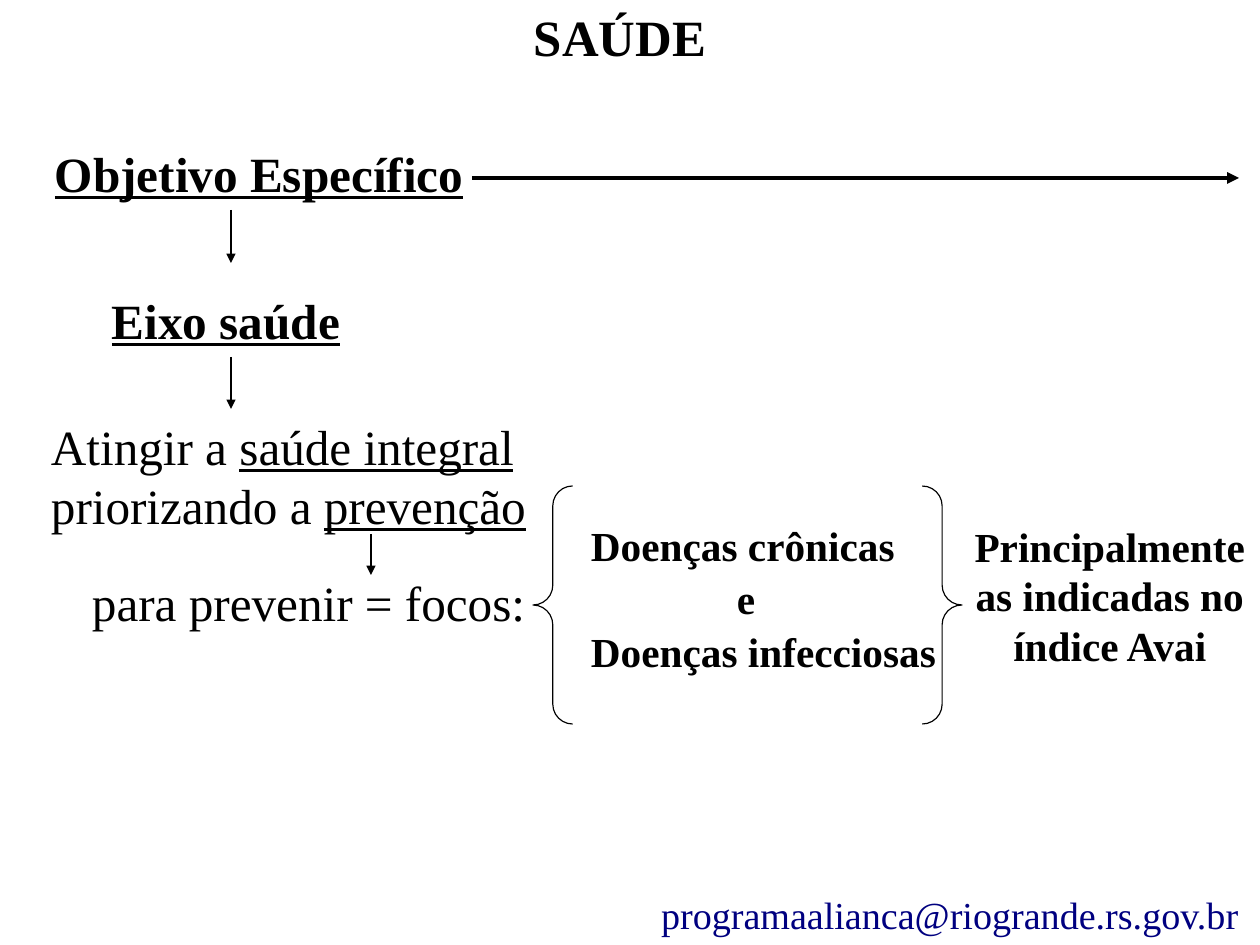
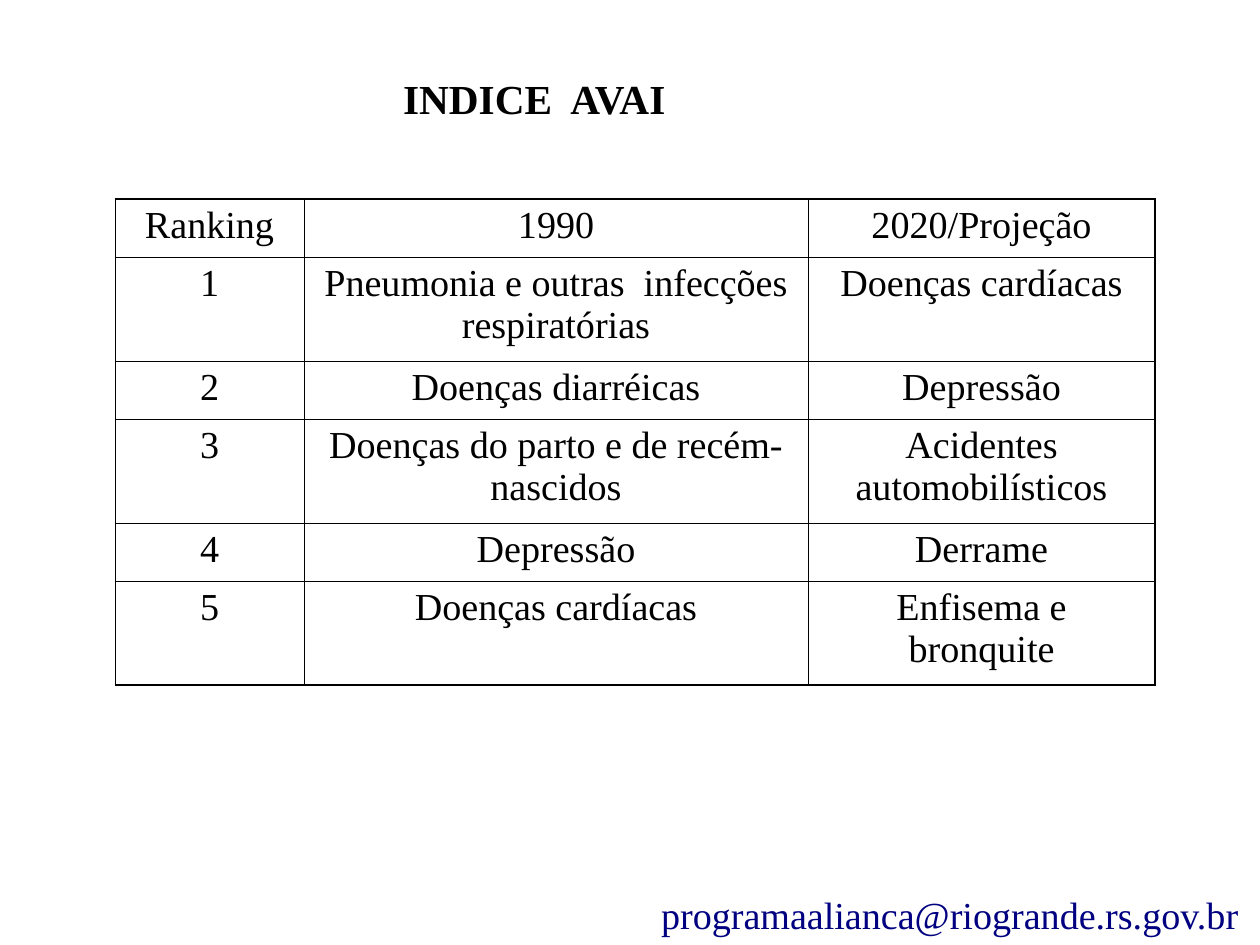
import dataclasses
import typing

import lxml.etree
import pptx
import pptx.dml.color
import pptx.enum.shapes
import pptx.enum.text
import pptx.oxml
import pptx.oxml.ns
import pptx.presentation
import pptx.shapes.base
import pptx.slide
import pptx.table
import pptx.text.text
import pptx.util

PX = 8000  # EMU in one px
SLIDE_WIDTH, SLIDE_HEIGHT = 1260, 945
LEFT = pptx.enum.text.PP_ALIGN.LEFT
CENTER = pptx.enum.text.PP_ALIGN.CENTER
qn = pptx.oxml.ns.qn


@dataclasses.dataclass(frozen=True)
class Theme:
    font: str = "Times New Roman"
    ink: str = "000000"
    contact_ink: str = "000080"
    title_size: int = 32
    body_size: int = 31
    detail_size: int = 26
    table_size: int = 24
    thin: float = 0.75
    thick: float = 2.5
    grid: float = 0.45
    frame: float = 1.08


THEME = Theme()


class Box(typing.NamedTuple):
    left: int
    top: int
    width: int
    height: int


class Inset(typing.NamedTuple):
    x: int = 13
    y: int = 7


class Run(typing.NamedTuple):
    text: str
    underline: bool = False


@dataclasses.dataclass(frozen=True)
class Para:
    runs: tuple[Run, ...]
    size: int = THEME.body_size
    bold: bool = False
    color: str = THEME.ink
    align: pptx.enum.text.PP_ALIGN = LEFT
    line_spacing: float = 1.0
    space_before: float = 0
    indent: int = 0


class Block(typing.NamedTuple):
    box: Box
    paras: tuple[Para, ...]


class Arrow(typing.NamedTuple):
    x1: int
    y1: int
    x2: int
    y2: int
    weight: float = THEME.thin


def px(length: int) -> pptx.util.Emu:
    return pptx.util.Emu(length * PX)


def rgb(color: str) -> pptx.dml.color.RGBColor:
    return pptx.dml.color.RGBColor.from_string(color)


def disease(text: str, indent: int = 0) -> Para:
    """One tightly set bold line between the braces."""
    return Para((Run(text),), THEME.detail_size, bold=True, line_spacing=0.55,
                space_before=16.2, indent=indent)


CONTACT = Block(Box(661, 895, 599, 42), (
    Para((Run("programaalianca@riogrande.rs.gov.br"),), THEME.table_size,
         color=THEME.contact_ink, line_spacing=0.93),))

HEALTH_TITLE = Block(Box(523, 0, 609, 73), (
    Para((Run("SAÚDE"),), THEME.title_size, bold=True),))
HEALTH_BLOCKS = (
    Block(Box(42, 136, 725, 72), (
        Para((Run("Objetivo Específico", True),), bold=True),)),
    Block(Box(74, 283, 304, 72), (
        Para((Run("Eixo saúde", True),), bold=True, align=CENTER),)),
    Block(Box(38, 409, 573, 130), (
        Para((Run("Atingir a "), Run("saúde integral", True),
              Run(" priorizando a "), Run("prevenção", True))),)),
    Block(Box(79, 581, 502, 54), (
        Para((Run("para prevenir = focos:"),), line_spacing=0.7),)),
    Block(Box(578, 533, 389, 146), (
        disease("Doenças crônicas"),
        disease("e", indent=146),
        disease("Doenças infecciosas"))),
    Block(Box(961, 514, 298, 161), (
        Para((Run("Principalmente as indicadas no índice Avai"),),
             THEME.detail_size, bold=True, align=CENTER),)),
)
HEALTH_ARROWS = (
    Arrow(231, 210, 231, 263),
    Arrow(231, 357, 231, 409),
    Arrow(371, 534, 371, 575),
    Arrow(472, 178, 1239, 178, THEME.thick),
)
DISEASE_BRACES = Box(533, 486, 429, 238)

RANKING_TITLE = Block(Box(390, 66, 424, 62), (
    Para((Run("INDICE  AVAI"),), THEME.detail_size, bold=True),))
RANKING_LEFT, RANKING_TOP = 115, 199
RANKING_COLUMNS = (189, 504, 347)
RANKING_ROW_HEIGHTS = (58, 104) * 3
RANKING = (
    ("Ranking", "1990", "2020/Projeção"),
    ("1", "Pneumonia e outras  infecções respiratórias", "Doenças cardíacas"),
    ("2", "Doenças diarréicas", "Depressão"),
    ("3", "Doenças do parto e de recém-nascidos", "Acidentes automobilísticos"),
    ("4", "Depressão", "Derrame"),
    ("5", "Doenças cardíacas", "Enfisema e bronquite"),
)


def write(frame: pptx.text.text.TextFrame, paras: tuple[Para, ...]) -> None:
    for number, para in enumerate(paras):
        paragraph = frame.add_paragraph() if number else frame.paragraphs[0]
        paragraph.alignment = para.align
        paragraph.line_spacing = para.line_spacing
        paragraph.space_before = pptx.util.Pt(para.space_before)
        if para.indent:
            paragraph._p.get_or_add_pPr().set("marL", str(px(para.indent)))
        font = paragraph.font
        font.name = THEME.font
        font.size = pptx.util.Pt(para.size)
        font.bold = para.bold
        font.color.rgb = rgb(para.color)
        for part in para.runs:
            run = paragraph.add_run()
            run.text = part.text
            if part.underline:
                run.font.underline = True


def fill_frame(shape: pptx.shapes.base.BaseShape, paras: tuple[Para, ...],
               inset: Inset) -> None:
    frame = shape.text_frame
    frame.word_wrap = True
    frame.auto_size = pptx.enum.text.MSO_AUTO_SIZE.NONE
    frame.vertical_anchor = pptx.enum.text.MSO_ANCHOR.TOP
    frame.margin_left = frame.margin_right = px(inset.x)
    frame.margin_top = frame.margin_bottom = px(inset.y)
    write(frame, paras)


def add_block(slide: pptx.slide.Slide, block: Block, inset: Inset = Inset()) -> None:
    fill_frame(slide.shapes.add_textbox(*map(px, block.box)), block.paras, inset)


def add_titled_slide(deck: pptx.presentation.Presentation, title: Block,
                     inset: Inset = Inset()) -> pptx.slide.Slide:
    """Add a slide with its title and the shared contact line."""
    slide = deck.slides.add_slide(deck.slide_layouts.get_by_name("Title Only"))
    heading = slide.shapes.title
    heading.left, heading.top, heading.width, heading.height = map(px, title.box)
    fill_frame(heading, title.paras, inset)
    add_block(slide, CONTACT, Inset(0, 0))
    return slide


def add_arrow(slide: pptx.slide.Slide, arrow: Arrow) -> None:
    connector = slide.shapes.add_connector(
        pptx.enum.shapes.MSO_CONNECTOR.STRAIGHT,
        px(arrow.x1), px(arrow.y1), px(arrow.x2), px(arrow.y2))
    connector.line.color.rgb = rgb(THEME.ink)
    connector.line.width = pptx.util.Pt(arrow.weight)
    properties = connector._element.spPr
    lxml.etree.SubElement(properties.find(qn("a:ln")), qn("a:tailEnd"), type="triangle")
    lxml.etree.SubElement(properties, qn("a:effectLst"))


def add_braces(slide: pptx.slide.Slide, box: Box) -> None:
    braces = slide.shapes.add_shape(
        pptx.enum.shapes.MSO_SHAPE.DOUBLE_BRACE, *map(px, box))
    braces.adjustments[0] = 1 / 12
    braces.shadow.inherit = False
    braces.fill.background()
    braces.line.color.rgb = rgb(THEME.ink)
    braces.line.width = pptx.util.Pt(THEME.thin)


def set_borders(cell: pptx.table._Cell, weights: dict[str, float]) -> None:
    """Put borders, keyed L, R, T, B in that order, ahead of the cell fill."""
    properties = cell._tc.get_or_add_tcPr()
    for position, (side, weight) in enumerate(weights.items()):
        border = lxml.etree.Element(qn(f"a:ln{side}"), w=str(pptx.util.Pt(weight)))
        solid = lxml.etree.SubElement(border, qn("a:solidFill"))
        lxml.etree.SubElement(solid, qn("a:srgbClr"), val=THEME.ink)
        properties.insert(position, border)


def add_ranking(slide: pptx.slide.Slide) -> None:
    last_row, last_column = len(RANKING) - 1, len(RANKING_COLUMNS) - 1
    box = Box(RANKING_LEFT, RANKING_TOP, sum(RANKING_COLUMNS), sum(RANKING_ROW_HEIGHTS))
    table = slide.shapes.add_table(
        len(RANKING), len(RANKING_COLUMNS), *map(px, box)).table
    table.first_row = table.horz_banding = False
    for column, width in zip(table.columns, RANKING_COLUMNS):
        column.width = px(width)
    for row, height in zip(table.rows, RANKING_ROW_HEIGHTS):
        row.height = px(height)
    for r, entries in enumerate(RANKING):
        for c, entry in enumerate(entries):
            cell = table.cell(r, c)
            cell.margin_left = cell.margin_right = px(13)
            cell.margin_top = cell.margin_bottom = px(6)
            cell.fill.background()
            write(cell.text_frame, (
                Para((Run(entry),), THEME.table_size, align=CENTER, space_before=6),))
            set_borders(cell, {
                "L": THEME.grid,
                "R": THEME.frame if c == last_column else THEME.grid,
                "T": THEME.frame if r == 0 else THEME.grid,
                "B": THEME.frame if r == last_row else THEME.grid,
            })


def main() -> None:
    deck = pptx.Presentation()
    deck.slide_width, deck.slide_height = px(SLIDE_WIDTH), px(SLIDE_HEIGHT)

    health = add_titled_slide(deck, HEALTH_TITLE, Inset(11, 6))
    for block in HEALTH_BLOCKS:
        add_block(health, block)
    for arrow in HEALTH_ARROWS:
        add_arrow(health, arrow)
    add_braces(health, DISEASE_BRACES)

    add_ranking(add_titled_slide(deck, RANKING_TITLE))
    deck.save("out.pptx")


if __name__ == "__main__":
    main()
